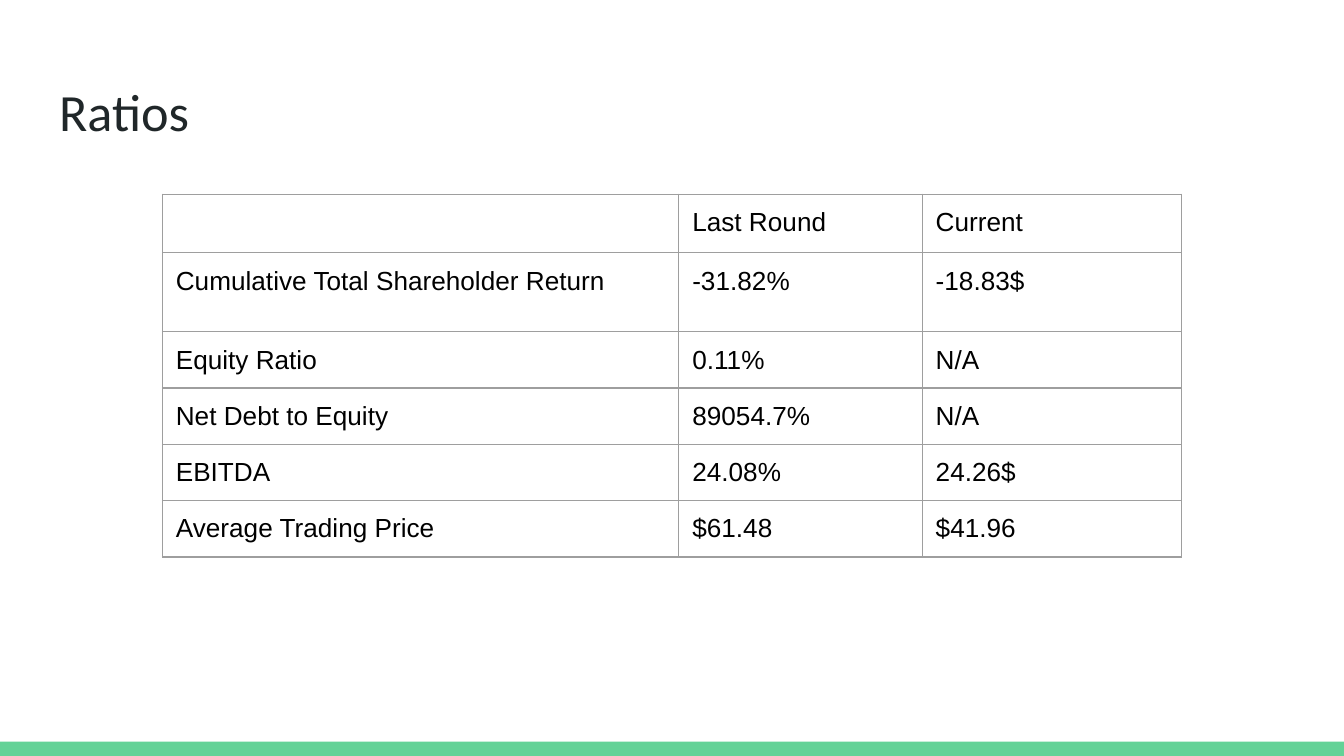
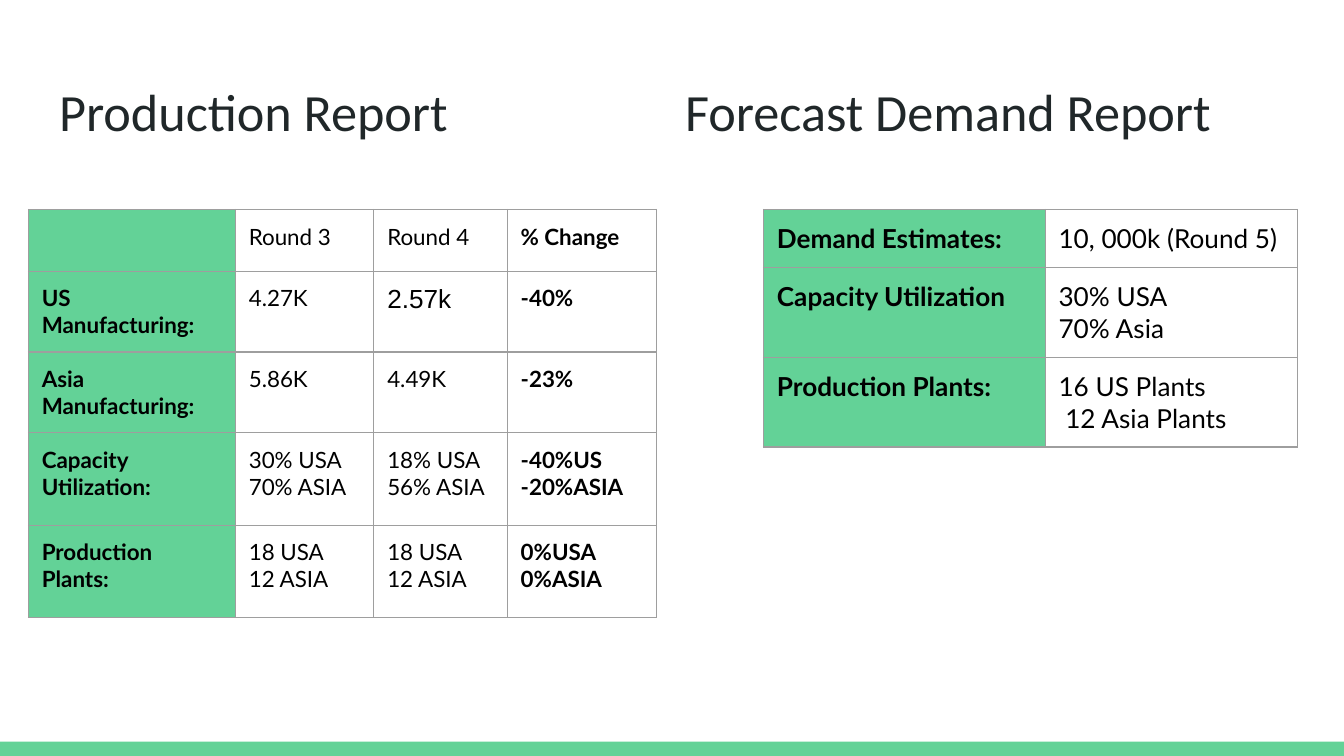
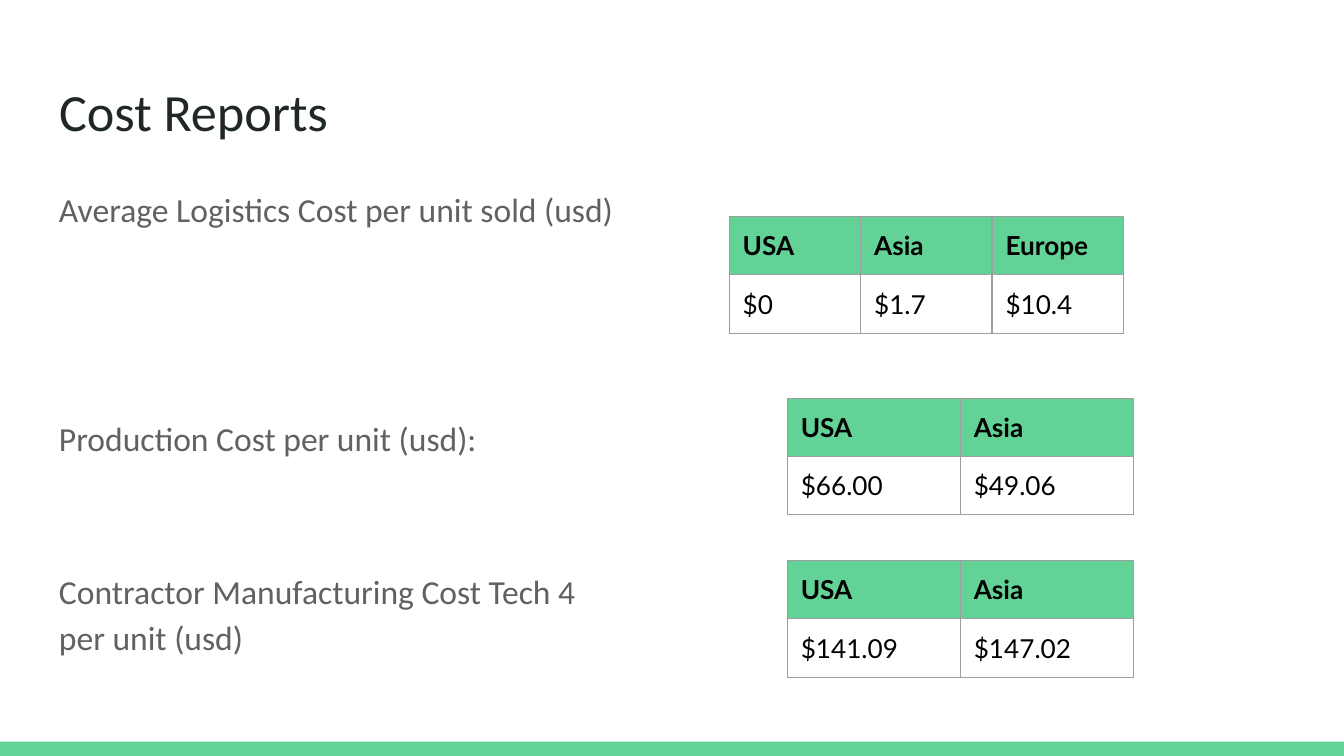
from dataclasses import dataclass

from lxml import etree
from pptx import Presentation
from pptx.dml.color import RGBColor
from pptx.enum.shapes import MSO_SHAPE
from pptx.enum.text import MSO_ANCHOR, MSO_AUTO_SIZE, PP_ALIGN
from pptx.oxml.ns import qn
from pptx.util import Pt

RECTANGLE = MSO_SHAPE.RECTANGLE
TOP = MSO_ANCHOR.TOP
NO_AUTOFIT = MSO_AUTO_SIZE.NONE
LEFT = PP_ALIGN.LEFT


@dataclass(frozen=True)
class Theme:
    green: RGBColor = RGBColor.from_string("63D297")
    ink: RGBColor = RGBColor.from_string("202729")
    grey: RGBColor = RGBColor.from_string("616161")
    black: RGBColor = RGBColor.from_string("000000")
    border: str = "9E9E9E"
    border_width: float = 0.75
    heading_font: str = "Calibri"
    table_font: str = "Lato"
    plain_font: str = "Arial"
    title_size: float = 28
    body_size: float = 18
    table_size: float = 14
    small_size: float = 12
    inset: float = 7.2


theme = Theme()


def write_text(shape, box, paragraphs, size, color):
    """Place a text shape and fill it; each paragraph is (space before, lines)."""
    shape.left, shape.top, shape.width, shape.height = (Pt(value) for value in box)
    frame = shape.text_frame
    frame.word_wrap = True
    frame.auto_size = NO_AUTOFIT
    frame.vertical_anchor = TOP
    frame.margin_left = frame.margin_right = Pt(theme.inset)
    frame.margin_top = frame.margin_bottom = Pt(theme.inset)
    for index, (space_before, lines) in enumerate(paragraphs):
        paragraph = frame.add_paragraph() if index else frame.paragraphs[0]
        paragraph.alignment = LEFT
        paragraph.space_before = Pt(space_before)
        for line_index, line in enumerate(lines):
            if line_index:
                paragraph.add_line_break()
            run = paragraph.add_run()
            run.text = line
            run.font.name = theme.heading_font
            run.font.size = Pt(size)
            run.font.color.rgb = color
    return frame


def add_grid(slide, left, top, widths, heights, rows, font=theme.table_font,
             size=theme.table_size, green_row=None, green_column=None, bold_column=None):
    """Add a bordered table with an optional green heading row or column."""
    table = slide.shapes.add_table(len(rows), len(widths), Pt(left), Pt(top),
                                   Pt(sum(widths)), Pt(sum(heights))).table
    table.first_row = table.horz_banding = False
    for column, width in zip(table.columns, widths):
        column.width = Pt(width)
    for row_index, (height, texts) in enumerate(zip(heights, rows)):
        table.rows[row_index].height = Pt(height)
        for column_index, text in enumerate(texts):
            cell = table.cell(row_index, column_index)
            cell.margin_left = cell.margin_right = Pt(theme.inset)
            cell.margin_top = cell.margin_bottom = Pt(theme.inset)
            is_green = row_index == green_row or column_index == green_column

            # Borders precede the fill in the cell properties
            properties = cell._tc.get_or_add_tcPr()
            for side in ("a:lnL", "a:lnR", "a:lnT", "a:lnB"):
                line = etree.SubElement(properties, qn(side), w=str(Pt(theme.border_width)))
                solid = etree.SubElement(line, qn("a:solidFill"))
                etree.SubElement(solid, qn("a:srgbClr"), val=theme.border)
            if is_green:
                cell.fill.solid()
                cell.fill.fore_color.rgb = theme.green
            else:
                cell.fill.background()

            frame = cell.text_frame
            if not text:
                # An empty cell still needs a type size to keep its row low
                etree.SubElement(frame.paragraphs[0]._p, qn("a:endParaRPr"),
                                 sz=str(int(size * 100)))
                continue
            for index, line_text in enumerate(text.split("\n")):
                paragraph = frame.add_paragraph() if index else frame.paragraphs[0]
                run = paragraph.add_run()
                run.text = line_text
                run.font.name = font
                run.font.size = Pt(size)
                run.font.bold = is_green or column_index == bold_column
                run.font.color.rgb = theme.black
    return table


presentation = Presentation()
presentation.slide_width = Pt(720)
presentation.slide_height = Pt(405)
title_only = presentation.slide_layouts[5]

# Slides and their titles
full_title = (24.5, 35.3, 671, 45.4)
left_title = (24.5, 35.3, 335.5, 45.4)
right_title = (360, 35.3, 335.5, 45.4)
slides = []
for title, box in (("Ratios", full_title), ("Production Report", left_title),
                   ("Cost Reports", full_title)):
    slide = presentation.slides.add_slide(title_only)
    write_text(slide.shapes.title, box, [(0, [title])], theme.title_size, theme.ink)
    slides.append(slide)
ratios_slide, production_slide, cost_slide = slides

# Green footer band, moved into the layout that all slides share
band = ratios_slide.shapes.add_shape(RECTANGLE, 0, Pt(397.4), Pt(720), Pt(7.6))
band.shadow.inherit = False
band.fill.solid()
band.fill.fore_color.rgb = theme.green
band.line.fill.background()
title_only.shapes.element.insert(2, band.element)

# Ratios
add_grid(
    ratios_slide, 87, 104, (276.7, 130.4, 138.7), (30, 42.3, 30, 30, 30, 30),
    [("", "Last Round", "Current"),
     ("Cumulative Total Shareholder Return", "-31.82%", "-18.83$"),
     ("Equity Ratio", "0.11%", "N/A"),
     ("Net Debt to Equity", "89054.7%", "N/A"),
     ("EBITDA", "24.08%", "24.26$"),
     ("Average Trading Price", "$61.48", "$41.96")],
    font=theme.plain_font)

# Production report
production_table = add_grid(
    production_slide, 15.2, 112.2, (110.9, 74.2, 71.5, 79.9), (33.2, 43.2, 43.2, 49.5, 49.5),
    [("", "Round 3", "Round 4", "% Change"),
     ("US Manufacturing:", "4.27K", "2.57k", "-40%"),
     ("Asia Manufacturing:", "5.86K", "4.49K", "-23%"),
     ("Capacity Utilization:", "30% USA\n70% ASIA", "18% USA\n56% ASIA", "-40%US\n-20%ASIA"),
     ("Production Plants:", "18 USA\n12 ASIA", "18 USA\n12 ASIA", "0%USA\n0%ASIA")],
    size=theme.small_size, green_column=0, bold_column=3)
us_round_4 = production_table.cell(1, 2).text_frame.paragraphs[0].runs[0]
us_round_4.font.name = theme.plain_font
us_round_4.font.size = Pt(theme.table_size)

# Forecast demand report
forecast_title = production_slide.shapes.add_textbox(0, 0, 0, 0)
write_text(forecast_title, right_title, [(0, ["Forecast Demand Report"])],
           theme.title_size, theme.ink)
add_grid(
    production_slide, 409, 112.2, (150.9, 135.4), (31.2, 48, 48),
    [("Demand Estimates:", "10, 000k (Round 5)"),
     ("Capacity Utilization", "30% USA\n70% Asia"),
     ("Production Plants:", "16 US Plants\n 12 Asia Plants")],
    green_column=0)

# Cost labels
cost_labels = cost_slide.shapes.add_textbox(0, 0, 0, 0)
label_frame = write_text(
    cost_labels, (24.5, 90.7, 366.5, 298.8),
    [(0, ["Average Logistics Cost per unit sold (usd)"]),
     (98, ["Production Cost per unit (usd):"]),
     (56.8, ["Contractor Manufacturing Cost Tech 4", "per unit (usd)"])],
    theme.body_size, theme.grey)
for paragraph in label_frame.paragraphs:
    paragraph.line_spacing = 1.15

# Cost tables
for left, top, column_width, regions, costs in (
        (390.7, 116, 70.4, ("USA", "Asia", "Europe"), ("$0", "$1.7", "$10.4")),
        (421.8, 213.3, 92.7, ("USA", "Asia"), ("$66.00", "$49.06")),
        (421.8, 300.3, 92.7, ("USA", "Asia"), ("$141.09", "$147.02"))):
    add_grid(cost_slide, left, top, [column_width] * len(regions), (31.2, 31.2),
             [regions, costs], green_row=0)

presentation.save("out.pptx")
